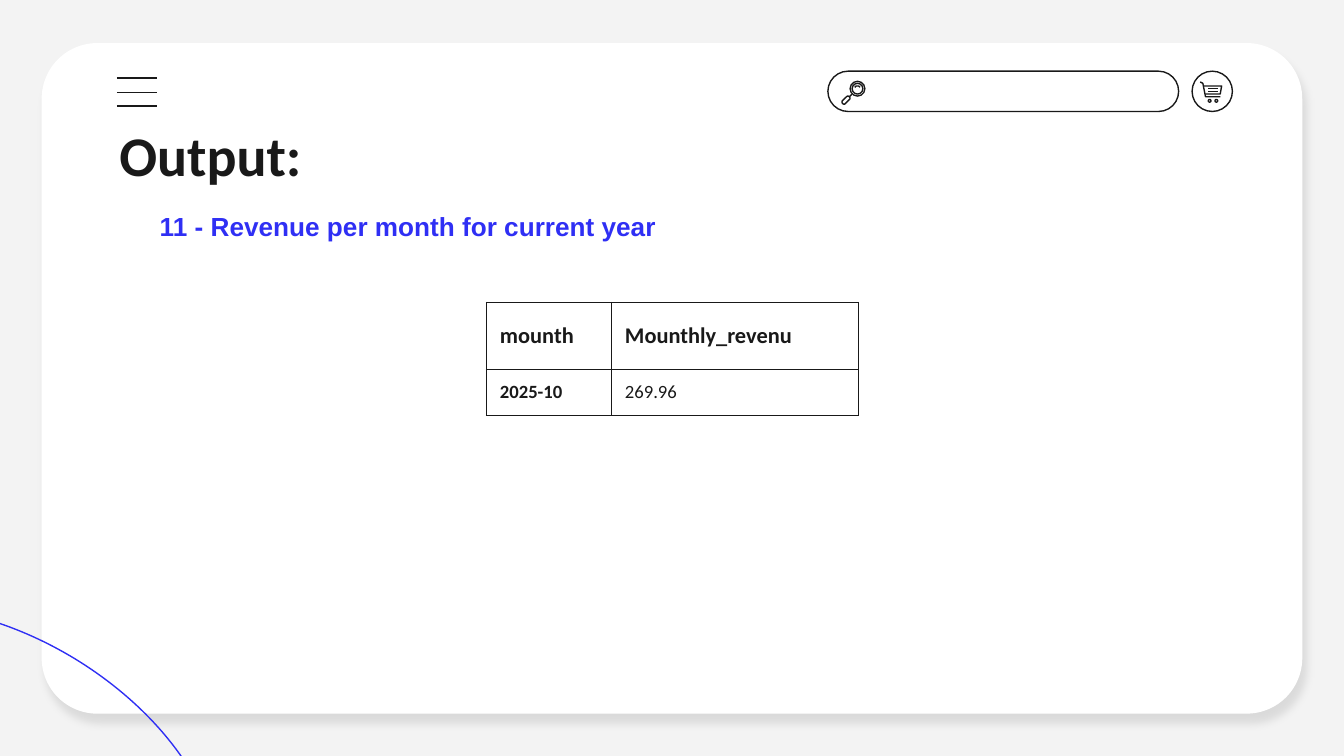
from lxml import etree
from pptx import Presentation
from pptx.dml.color import RGBColor
from pptx.enum.shapes import MSO_CONNECTOR, MSO_SHAPE
from pptx.enum.text import MSO_ANCHOR
from pptx.oxml import parse_xml
from pptx.oxml.ns import nsdecls, qn
from pptx.util import Inches, Pt

STRAIGHT = MSO_CONNECTOR.STRAIGHT
ROUNDED = MSO_SHAPE.ROUNDED_RECTANGLE
OVAL = MSO_SHAPE.OVAL
MIDDLE = MSO_ANCHOR.MIDDLE
BOTTOM = MSO_ANCHOR.BOTTOM

COLORS = {"background": "F3F3F3", "card": "FFFFFF", "ink": "191919",
          "accent": "2F2FF4", "shadow": "000000"}
LINE_WIDTH = 0.75


def color(name):
    return RGBColor.from_string(COLORS[name])


class SlideBuilder:
    def __init__(self, slide):
        self.slide = slide
        slide.background.fill.solid()
        slide.background.fill.fore_color.rgb = color("background")

    def style(self, shape, fill=None, line=None):
        shape.shadow.inherit = False
        if fill:
            shape.fill.solid()
            shape.fill.fore_color.rgb = color(fill)
        else:
            shape.fill.background()
        if line:
            shape.line.color.rgb = color(line)
            shape.line.width = Pt(LINE_WIDTH)
        else:
            shape.line.fill.background()

    def shape(self, kind, left, top, width, height, fill=None, line=None,
              radius=None, rotation=0):
        shape = self.slide.shapes.add_shape(
            kind, Inches(left), Inches(top), Inches(width), Inches(height))
        self.style(shape, fill, line)
        shape.rotation = rotation
        if radius is not None:
            shape.adjustments[0] = radius
        return shape

    def drop_shadow(self, shape):
        effects = shape._element.spPr.find(qn("a:effectLst"))
        effects.append(parse_xml(
            f'<a:outerShdw {nsdecls("a")} blurRad="{Pt(4.5)}" dist="{Pt(6)}" '
            f'dir="{68 * 60000}" algn="bl" rotWithShape="0">'
            f'<a:srgbClr val="{COLORS["shadow"]}"><a:alpha val="10000"/>'
            '</a:srgbClr></a:outerShdw>'))

    def line(self, x1, y1, x2, y2):
        connector = self.slide.shapes.add_connector(
            STRAIGHT, Inches(x1), Inches(y1), Inches(x2), Inches(y2))
        connector.line.color.rgb = color("ink")
        connector.line.width = Pt(LINE_WIDTH)
        etree.SubElement(connector._element.spPr, qn("a:effectLst"))

    def polyline(self, points):
        start, *rest = [(Inches(x), Inches(y)) for x, y in points]
        builder = self.slide.shapes.build_freeform(*start)
        builder.add_line_segments(rest, close=False)
        self.style(builder.convert_to_shape(), line="ink")

    def format_text(self, paragraph, size, font="Calibri", ink="ink", bold=True):
        for run in paragraph.runs:
            run.font.name = font
            run.font.size = Pt(size)
            run.font.bold = bold
            run.font.color.rgb = color(ink)

    def text(self, content, left, top, width, height, size, anchor=MIDDLE, **font):
        box = self.slide.shapes.add_textbox(
            Inches(left), Inches(top), Inches(width), Inches(height))
        frame = box.text_frame
        frame.word_wrap = True
        frame.vertical_anchor = anchor
        frame.margin_left = frame.margin_right = Inches(0.1)
        frame.margin_top = frame.margin_bottom = Inches(0.1)
        frame.text = content
        self.format_text(frame.paragraphs[0], size, **font)

    def border(self, cell):
        properties = cell._tc.get_or_add_tcPr()
        for position, side in enumerate(("lnL", "lnR", "lnT", "lnB")):
            properties.insert(position, parse_xml(
                f'<a:{side} {nsdecls("a")} w="{Pt(LINE_WIDTH)}"><a:solidFill>'
                f'<a:srgbClr val="{COLORS["ink"]}"/></a:solidFill></a:{side}>'))

    def table(self, rows, left, top, widths, heights):
        table = self.slide.shapes.add_table(
            len(rows), len(widths), Inches(left), Inches(top),
            Inches(sum(widths)), Inches(sum(heights))).table
        table.horz_banding = False
        for column, width in zip(table.columns, widths):
            column.width = Inches(width)
        for row, height in zip(table.rows, heights):
            row.height = Inches(height)
        for row_index, values in enumerate(rows):
            header = row_index == 0
            for column_index, value in enumerate(values):
                cell = table.cell(row_index, column_index)
                cell.text = value
                cell.fill.background()
                cell.vertical_anchor = MIDDLE
                cell.margin_left = cell.margin_right = Inches(0.1)
                cell.margin_top = cell.margin_bottom = Inches(0.05 if header else 0)
                self.format_text(cell.text_frame.paragraphs[0], 12 if header else 10,
                                 bold=header or column_index == 0)
                self.border(cell)

    def menu_icon(self):
        for y in (0.58, 0.69, 0.79):
            self.line(0.87, y, 1.17, y)

    def search_bar(self):
        self.shape(ROUNDED, 6.16, 0.53, 2.61, 0.3, line="ink", radius=0.5)
        for diameter in (0.11, 0.08):
            self.shape(OVAL, 6.38 - diameter / 2, 0.66 - diameter / 2,
                       diameter, diameter, line="ink")
        self.polyline([(6.36, 0.65), (6.37, 0.64), (6.39, 0.64), (6.4, 0.65)])
        self.line(6.32, 0.72, 6.34, 0.7)
        self.shape(ROUNDED, 6.26, 0.73, 0.07, 0.03, line="ink",
                   radius=0.4, rotation=-45)

    def cart_button(self):
        self.shape(OVAL, 8.87, 0.53, 0.3, 0.3, line="ink")
        self.polyline([(8.93, 0.61), (8.95, 0.62), (8.97, 0.72), (9.08, 0.72)])
        self.polyline([(8.96, 0.64), (9.09, 0.64), (9.08, 0.7), (8.97, 0.7)])
        for y in (0.66, 0.68):
            self.line(8.99, y, 9.06, y)
        for left in (8.99, 9.04):
            self.shape(OVAL, left, 0.74, 0.02, 0.02, line="ink")


def main():
    presentation = Presentation()
    presentation.slide_width = Inches(10)
    presentation.slide_height = Inches(5.625)
    builder = SlideBuilder(
        presentation.slides.add_slide(presentation.slide_layouts[6]))

    card = builder.shape(ROUNDED, 0.31, 0.32, 9.38, 4.99, fill="card", radius=0.083)
    builder.drop_shadow(card)
    builder.shape(OVAL, -1.89, 4.73, 3.68, 2.31, line="accent", rotation=31.1)
    builder.menu_icon()
    builder.search_bar()
    builder.cart_button()

    builder.text("Output:", 0.79, 0.83, 8.43, 0.63, 30)
    builder.table([("mounth", "Mounthly_revenu"), ("2025-10", "269.96")],
                  3.62, 2.25, widths=(0.93, 1.84), heights=(0.5, 0.34))
    builder.text("11 - Revenue per month for current year", 1.09, 1.4, 4.91, 0.5,
                 14, anchor=BOTTOM, font="Arial", ink="accent")
    presentation.save("out.pptx")


if __name__ == "__main__":
    main()
